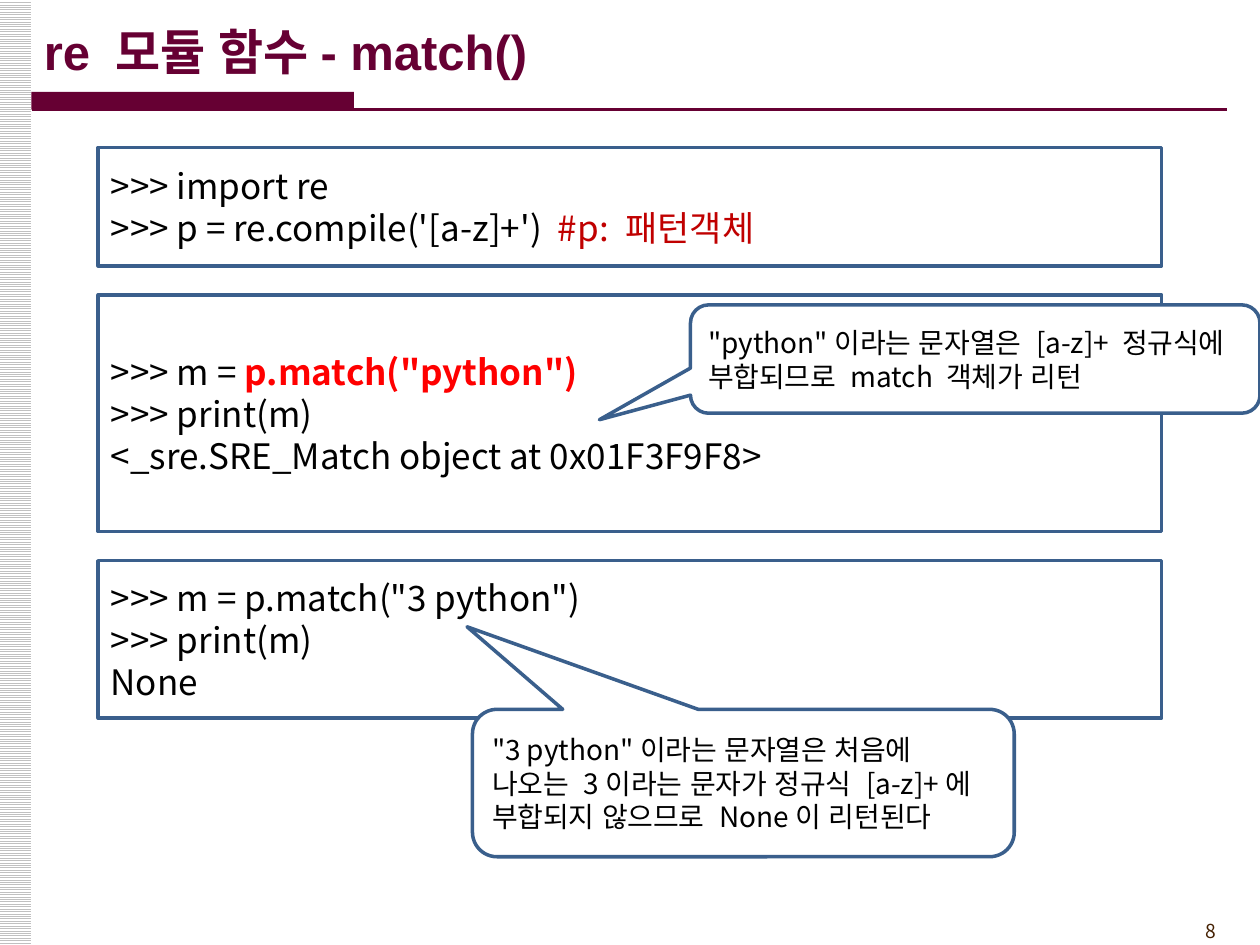
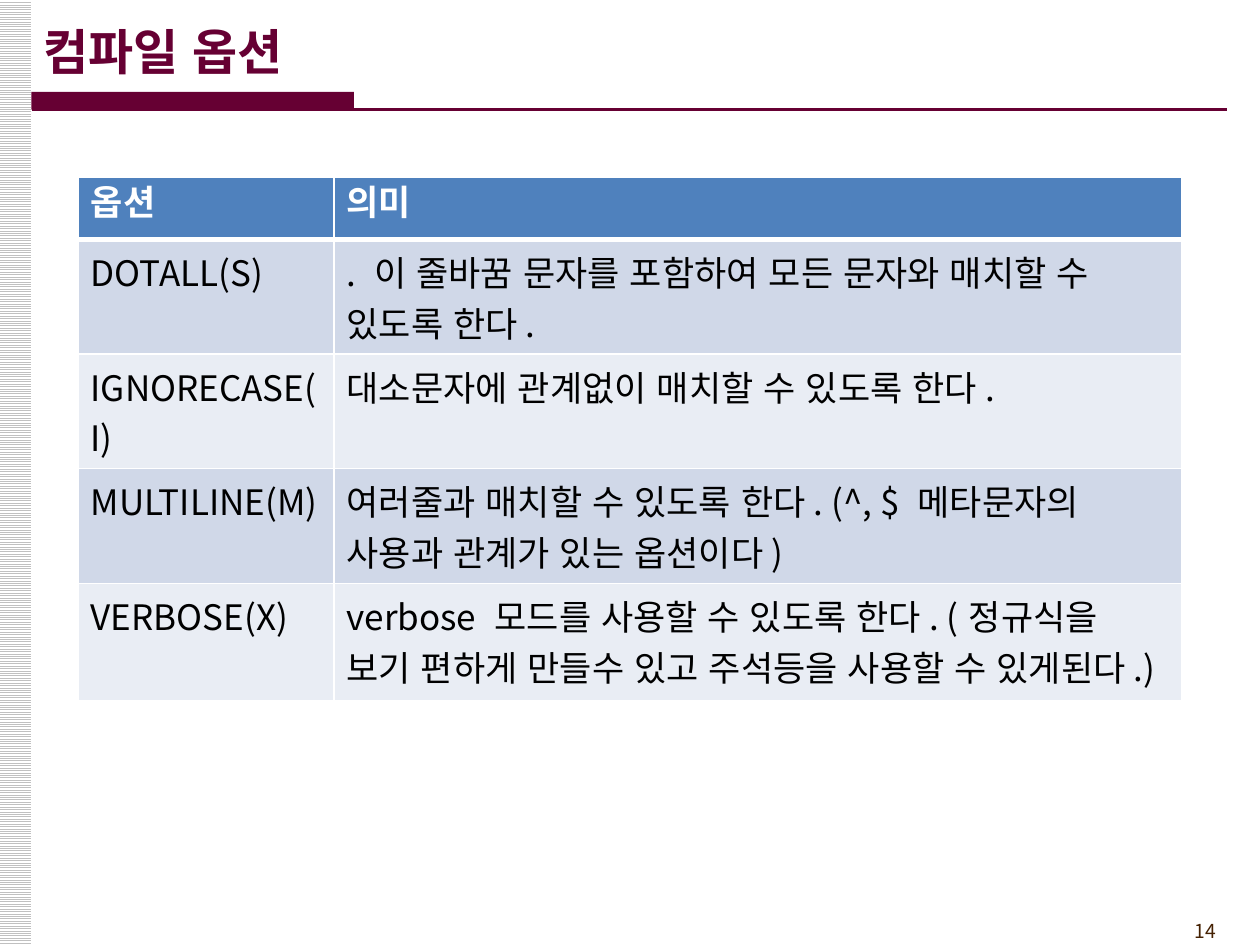
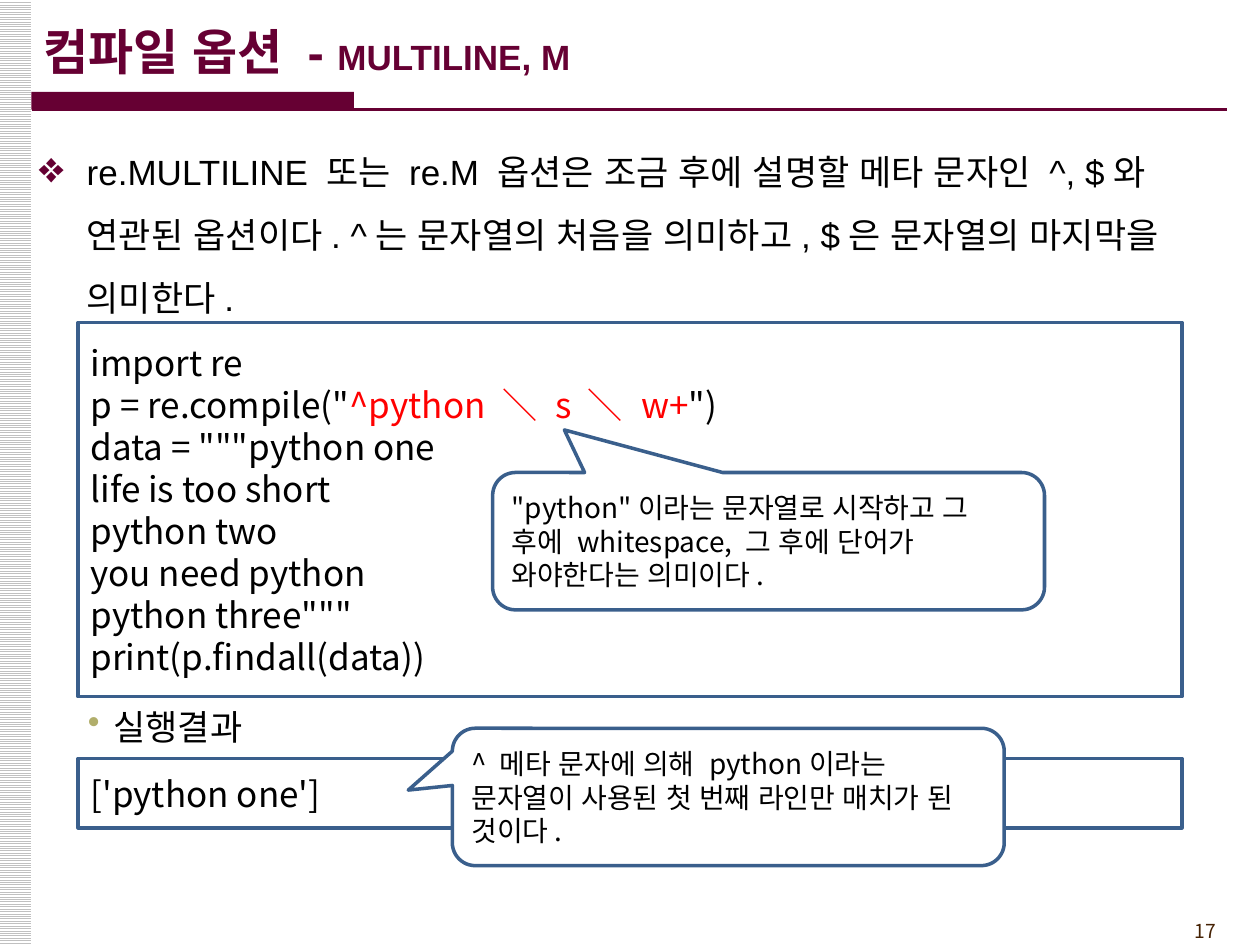
from pptx import Presentation
from pptx.dml.color import RGBColor
from pptx.enum.dml import MSO_PATTERN
from pptx.enum.shapes import MSO_CONNECTOR, MSO_SHAPE
from pptx.enum.text import MSO_ANCHOR, PP_ALIGN
from pptx.oxml.ns import qn
from pptx.util import Inches, Pt
from lxml import etree

RECTANGLE = MSO_SHAPE.RECTANGLE
CALLOUT = MSO_SHAPE.ROUNDED_RECTANGULAR_CALLOUT
STRAIGHT = MSO_CONNECTOR.STRAIGHT
STRIPES = MSO_PATTERN.LIGHT_HORIZONTAL
MIDDLE = MSO_ANCHOR.MIDDLE
LEFT, RIGHT = PP_ALIGN.LEFT, PP_ALIGN.RIGHT

# Colours and fonts
WINE = RGBColor(0x66, 0x00, 0x33)
BLACK = RGBColor(0x00, 0x00, 0x00)
WHITE = RGBColor(0xFF, 0xFF, 0xFF)
RED = RGBColor(0xFF, 0x00, 0x00)
DARK_RED = RGBColor(0xC0, 0x00, 0x00)
SILVER = RGBColor(0xC0, 0xC0, 0xC0)
BROWN = RGBColor(0x45, 0x21, 0x03)
OLIVE = RGBColor(0xB1, 0xAE, 0x6B)
OUTLINE = RGBColor(0x3A, 0x5F, 0x8C)
HEADER_BLUE = RGBColor(0x4F, 0x81, 0xBD)
BAND_DARK = RGBColor(0xD0, 0xD8, 0xE8)
BAND_LIGHT = RGBColor(0xE9, 0xED, 0xF4)
SANS, KOREAN = "Arial", "Noto Sans CJK KR"

# Slide grid, in inches
WIDTH, HEIGHT = 10, 7.5
EDGE = 0.25
RULE_Y = 0.87
WIDE_LEFT = 0.62
WIDE = WIDTH - 2 * WIDE_LEFT
CODE_LEFT = 0.78
CODE_WIDTH = WIDTH - 2 * CODE_LEFT
CODE_GAP = 0.23


def write(frame, lines, size, color=BLACK, font=KOREAN, bold=False, align=LEFT):
    """Each line is a list of runs: (text, overrides of color, size or bold)."""
    frame.word_wrap = True
    for index, line in enumerate(lines):
        paragraph = frame.paragraphs[0] if index == 0 else frame.add_paragraph()
        paragraph.alignment = align
        for text, changes in line:
            run = paragraph.add_run()
            run.text = text
            run.font.name = font
            run.font.size = Pt(changes.get("size", size))
            run.font.bold = changes.get("bold", bold)
            run.font.color.rgb = changes.get("color", color)
            east_asian = etree.Element(qn("a:ea"), typeface=SANS)
            run.font._element.find(qn("a:latin")).addnext(east_asian)


def add_panel(slide, kind, place, lines, size):
    panel = slide.shapes.add_shape(kind, *map(Inches, place))
    panel.shadow.inherit = False
    panel.line.color.rgb = OUTLINE
    panel.line.width = Pt(2)
    panel.text_frame.vertical_anchor = MIDDLE
    write(panel.text_frame, lines, size)
    return panel


prs = Presentation()
prs.slide_width, prs.slide_height = Inches(WIDTH), Inches(HEIGHT)

# Shared frame: striped edge, page number, title and rule
pages = [
    (8, [("re 모듈 함수- match()", {})]),
    (14, [("컴파일 옵션", {})]),
    (17, [("컴파일 옵션 - ", {}), ("MULTILINE, M", {"size": 20})]),
]
for number, title in pages:
    slide = prs.slides.add_slide(prs.slide_layouts[6])

    edge = slide.shapes.add_shape(RECTANGLE, Inches(-0.01), 0, Inches(EDGE + 0.01), Inches(HEIGHT))
    edge.fill.patterned()
    edge.fill.pattern = STRIPES
    edge.fill.fore_color.rgb = SILVER
    edge.fill.back_color.rgb = WHITE

    bar = slide.shapes.add_shape(RECTANGLE, *map(Inches, (EDGE, 0.73, 2.56, 0.14)))
    bar.fill.solid()
    bar.fill.fore_color.rgb = WINE
    for block in (edge, bar):
        block.line.fill.background()
        block.shadow.inherit = False

    rule = slide.shapes.add_connector(STRAIGHT, *map(Inches, (EDGE, RULE_Y, 9.74, RULE_Y)))
    rule.line.color.rgb = WINE
    rule.line.width = Pt(1.5)
    etree.SubElement(rule._element.spPr, qn("a:effectLst"))

    page_number = slide.shapes.add_textbox(*map(Inches, (8.92, 7.25, 0.83, 0.29)))
    write(page_number.text_frame, [[(str(number), {})]], 11, BROWN, align=RIGHT)

    heading = slide.shapes.add_textbox(*map(Inches, (EDGE, 0.09, 9.44, 0.63)))
    heading.text_frame.vertical_anchor = MIDDLE
    write(heading.text_frame, [title], 28, WINE, SANS, bold=True)

match_slide, options_slide, multiline_slide = prs.slides

# match(): three code panels stacked with equal gaps
match_code = [
    (0.94, [
        [(">>> import re", {})],
        [(">>> p = re.compile('[a-z]+')  ", {}), ("#p: 패턴객체", {"color": DARK_RED})],
    ]),
    (1.88, [
        [(">>> m = ", {}), ('p.match("python")', {"color": RED, "bold": True})],
        [(">>> print(m)", {})],
        [("<_sre.SRE_Match object at 0x01F3F9F8>", {})],
    ]),
    (1.25, [
        [('>>> m = p.match("3 python")', {})],
        [(">>> print(m)", {})],
        [("None", {})],
    ]),
]
top = 1.17
for height, code in match_code:
    panel = add_panel(match_slide, RECTANGLE, (CODE_LEFT, top, CODE_WIDTH, height), code, 20)
    panel.fill.background()
    top += height + CODE_GAP

# Compile options table
options = [
    ("옵션", "의미"),
    ("DOTALL(S)", ". 이 줄바꿈 문자를 포함하여 모든 문자와 매치할 수 있도록 한다."),
    ("IGNORECASE(I)", "대소문자에 관계없이 매치할 수 있도록 한다."),
    ("MULTILINE(M)", "여러줄과 매치할 수 있도록 한다. (^, $ 메타문자의 사용과 관계가 있는 옵션이다)"),
    ("VERBOSE(X)", "verbose 모드를 사용할 수 있도록 한다. (정규식을 보기 편하게 만들수 있고 "
                   "주석등을 사용할 수 있게된다.)"),
]
row_heights = [0.49, 0.91, 0.91, 0.91, 0.93]
table = options_slide.shapes.add_table(
    len(options), 2, *map(Inches, (WIDE_LEFT, 1.41, WIDE, sum(row_heights)))).table
for column, width in zip(table.columns, (2.03, WIDE - 2.03)):
    column.width = Inches(width)
for r, option in enumerate(options):
    table.rows[r].height = Inches(row_heights[r])
    is_header = r == 0
    for c, text in enumerate(option):
        cell = table.cell(r, c)
        for side in ("L", "R", "T", "B"):
            thick = (is_header and side == "B") or (r == 1 and side == "T")
            border = etree.SubElement(cell._tc.get_or_add_tcPr(), qn("a:ln" + side),
                                      w=str(Pt(3 if thick else 1)))
            paint = etree.SubElement(border, qn("a:solidFill"))
            etree.SubElement(paint, qn("a:srgbClr"), val=str(WHITE))
        cell.fill.solid()
        cell.fill.fore_color.rgb = HEADER_BLUE if is_header else (BAND_LIGHT, BAND_DARK)[r % 2]
        write(cell.text_frame, [[(text, {})]], 20, WHITE if is_header else BLACK, bold=is_header)

# MULTILINE: bulleted text
bullets = [
    (0.98, 1.58, "❖", "125%", WINE, 0.38, 0.38,
     "re.MULTILINE 또는 re.M 옵션은 조금 후에 설명할 메타 문자인 ^, $와 연관된 옵션이다. "
     "^는 문자열의 처음을 의미하고, $은 문자열의 마지막을 의미한다."),
    (5.38, 0.6, "•", "100%", OLIVE, 0.59, 0.2, "실행결과"),
]
for top, height, mark, mark_size, mark_color, margin, hanging, text in bullets:
    bullet = multiline_slide.shapes.add_textbox(*map(Inches, (0.21, top, 9.5, height)))
    write(bullet.text_frame, [[(text, {})]], 20, font=SANS)
    paragraph = bullet.text_frame.paragraphs[0]
    paragraph.line_spacing = 1.5
    paragraph.space_before = Pt(4)
    properties = paragraph._p.get_or_add_pPr()
    properties.set("marL", str(Inches(margin)))
    properties.set("indent", str(-Inches(hanging)))
    bullet_color = etree.SubElement(properties, qn("a:buClr"))
    etree.SubElement(bullet_color, qn("a:srgbClr"), val=str(mark_color))
    etree.SubElement(properties, qn("a:buSzPct"), val=mark_size.replace("%", "000"))
    etree.SubElement(properties, qn("a:buChar"), char=mark)

# MULTILINE: program and its output
program = [
    [("import re", {})],
    [('p = re.compile("', {}), ("^python ＼ s ＼ w+", {"color": RED}), ('")', {})],
    [('data = """python one', {})],
    [("life is too short", {})],
    [("python two", {})],
    [("you need python", {})],
    [('python three"""', {})],
    [("print(p.findall(data))", {})],
]
for top, height, code in [(2.56, 2.97, program), (6.02, 0.55, [[("['python one']", {})]])]:
    panel = add_panel(multiline_slide, RECTANGLE, (WIDE_LEFT, top, WIDE, height), code, 20)
    panel.fill.background()

# Callouts: place, pointer tip relative to the centre, remark
callouts = [
    (match_slide, (3.75, 5.63, 4.3, 1.17), (-0.51, -1.06),
     '"3 python"이라는 문자열은 처음에 나오는 3이라는 문자가 정규식 [a-z]+에 부합되지 않으므로 None이 리턴된다'),
    (match_slide, (5.48, 2.42, 4.52, 0.86), (-0.66, 0.56),
     '"python"이라는 문자열은 [a-z]+ 정규식에 부합되므로 match 객체가 리턴'),
    (multiline_slide, (3.91, 3.75, 4.38, 1.09), (-0.37, -0.81),
     '"python"이라는 문자열로 시작하고 그 후에 whitespace, 그 후에 단어가 와야한다는 의미이다.'),
    (multiline_slide, (3.59, 5.78, 4.38, 1.09), (-0.58, -0.05),
     "^ 메타 문자에 의해 python이라는 문자열이 사용된 첫 번째 라인만 매치가 된 것이다."),
]
for slide, place, tip, remark in callouts:
    callout = add_panel(slide, CALLOUT, place, [[(remark, {})]], 16)
    callout.fill.solid()
    callout.fill.fore_color.rgb = WHITE
    callout.adjustments[0], callout.adjustments[1] = tip

prs.save("out.pptx")
